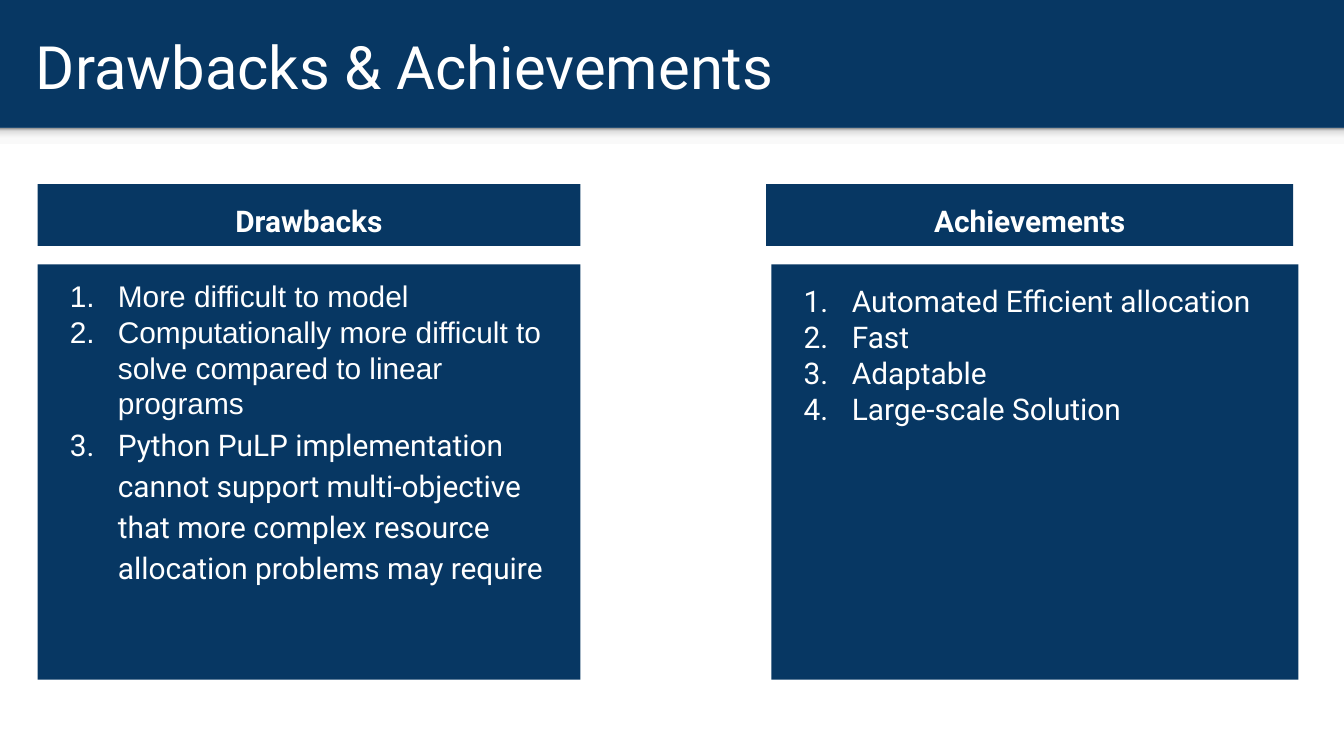
import pptx
import pptx.dml.color
import pptx.enum.shapes
import pptx.enum.text
import pptx.oxml
import pptx.oxml.ns
import pptx.util
from lxml import etree

Cm = pptx.util.Cm
Pt = pptx.util.Pt
PP_ALIGN = pptx.enum.text.PP_ALIGN
ANCHOR = pptx.enum.text.MSO_ANCHOR
qn = pptx.oxml.ns.qn

WIDTH, HEIGHT = 25.4, 14.29
HEADER_H = 2.42
HEAD_Y, HEAD_H = 3.48, 1.17
LIST_Y, LIST_H = 5, 7.85

# heading, heading left, list left, width, items as (text, font, line spacing)
COLUMNS = [
    ("Drawbacks", 0.71, 0.71, 10.26, [
        ("More difficult to model", "Arial", 1),
        ("Computationally more difficult to solve compared to linear programs", "Arial", 1),
        ("Python PuLP implementation cannot support multi-objective that more "
         "complex resource allocation problems may require", "Roboto", 1.15),
    ]),
    ("Achievements", 14.48, 14.58, 9.96, [
        ("Automated Efficient allocation", "Roboto", 1.15),
        ("Fast", "Roboto", 1),
        ("Adaptable", "Roboto", 1),
        ("Large-scale Solution", "Roboto", 1),
    ]),
]


def rgb(value):
    return pptx.dml.color.RGBColor.from_string(value)


class Deck:
    navy, white = "073763", "FFFFFF"
    font, title_size, text_size = "Roboto", 32, 16
    inset = 0.25

    def __init__(self):
        self.prs = pptx.Presentation()
        self.prs.slide_width, self.prs.slide_height = Cm(WIDTH), Cm(HEIGHT)
        self.s = self.prs.slides.add_slide(self.prs.slide_layouts[5])
        fill = self.s.background.fill
        fill.solid()
        fill.fore_color.rgb = rgb(self.navy)

    def frame(self, sp, anchor):
        """Set insets, wrapping and anchor, and return the text frame."""
        tf = sp.text_frame
        tf.word_wrap = True
        tf.auto_size = pptx.enum.text.MSO_AUTO_SIZE.NONE
        tf.vertical_anchor = anchor
        tf.margin_left = tf.margin_right = Cm(self.inset)
        tf.margin_top = tf.margin_bottom = Cm(self.inset)
        return tf

    def run(self, p, text, size, font=None, bold=False):
        r = p.add_run()
        r.text = text
        r.font.name = font or self.font
        r.font.size = Pt(size)
        r.font.bold = bold
        r.font.color.rgb = rgb(self.white)

    def title(self, text, x, y, w, h):
        sp = self.s.shapes.title
        sp.left, sp.top, sp.width, sp.height = map(Cm, (x, y, w, h))
        p = self.frame(sp, ANCHOR.MIDDLE).paragraphs[0]
        p.alignment = PP_ALIGN.LEFT
        self.run(p, text, self.title_size)

    def rect(self, x, y, w, h, color):
        sp = self.s.shapes.add_shape(
            pptx.enum.shapes.MSO_SHAPE.RECTANGLE, *map(Cm, (x, y, w, h)))
        sp.shadow.inherit = False
        sp.line.fill.background()
        sp.fill.solid()
        sp.fill.fore_color.rgb = rgb(color)
        return sp

    def fading_band(self, x, y, w, h, stops):
        """Add a band whose gradient runs from bottom to top."""
        sp = self.rect(x, y, w, h, self.white)
        sp.fill.gradient()
        sp.fill.gradient_angle = 90
        stop_list = sp.fill._fill._gradFill.find(qn("a:gsLst"))
        for old in list(stop_list):
            stop_list.remove(old)
        for percent, color in stops:
            gs = etree.SubElement(stop_list, qn("a:gs"), pos=str(percent * 1000))
            etree.SubElement(gs, qn("a:srgbClr"), val=color)

    def heading(self, text, x, y, w, h):
        p = self.frame(self.rect(x, y, w, h, self.navy), ANCHOR.TOP).paragraphs[0]
        p.alignment = PP_ALIGN.CENTER
        p.line_spacing = 1.15
        self.run(p, text, self.text_size, bold=True)

    def numbered_list(self, items, x, y, w, h):
        tf = self.frame(self.rect(x, y, w, h, self.navy), ANCHOR.TOP)
        for i, (text, font, spacing) in enumerate(items):
            p = tf.add_paragraph() if i else tf.paragraphs[0]
            p.alignment = PP_ALIGN.LEFT
            p.line_spacing = spacing
            self.number(p, font)
            self.run(p, text, self.text_size, font)

    def number(self, p, font):
        pPr = p._p.get_or_add_pPr()
        pPr.set("marL", str(Cm(1.27)))
        pPr.set("indent", str(-Cm(0.91)))
        color = etree.SubElement(pPr, qn("a:buClr"))
        etree.SubElement(color, qn("a:srgbClr"), val=self.white)
        etree.SubElement(pPr, qn("a:buFont"), typeface=font)
        etree.SubElement(pPr, qn("a:buAutoNum"), type="arabicPeriod")


def main():
    deck = Deck()
    deck.rect(0, HEADER_H, WIDTH, HEIGHT - HEADER_H, deck.white)
    deck.fading_band(0, HEADER_H, WIDTH, 0.3, [
        (0, "F9F9F9"), (36, "F9F9F9"), (80, "DEDEDE"), (100, "999999")])
    deck.title("Drawbacks & Achievements", 0.43, 0.41, 24.51, 1.68)
    for heading, head_x, list_x, w, items in COLUMNS:
        deck.heading(heading, head_x, HEAD_Y, w, HEAD_H)
        deck.numbered_list(items, list_x, LIST_Y, w, LIST_H)
    deck.prs.save("out.pptx")


if __name__ == "__main__":
    main()
